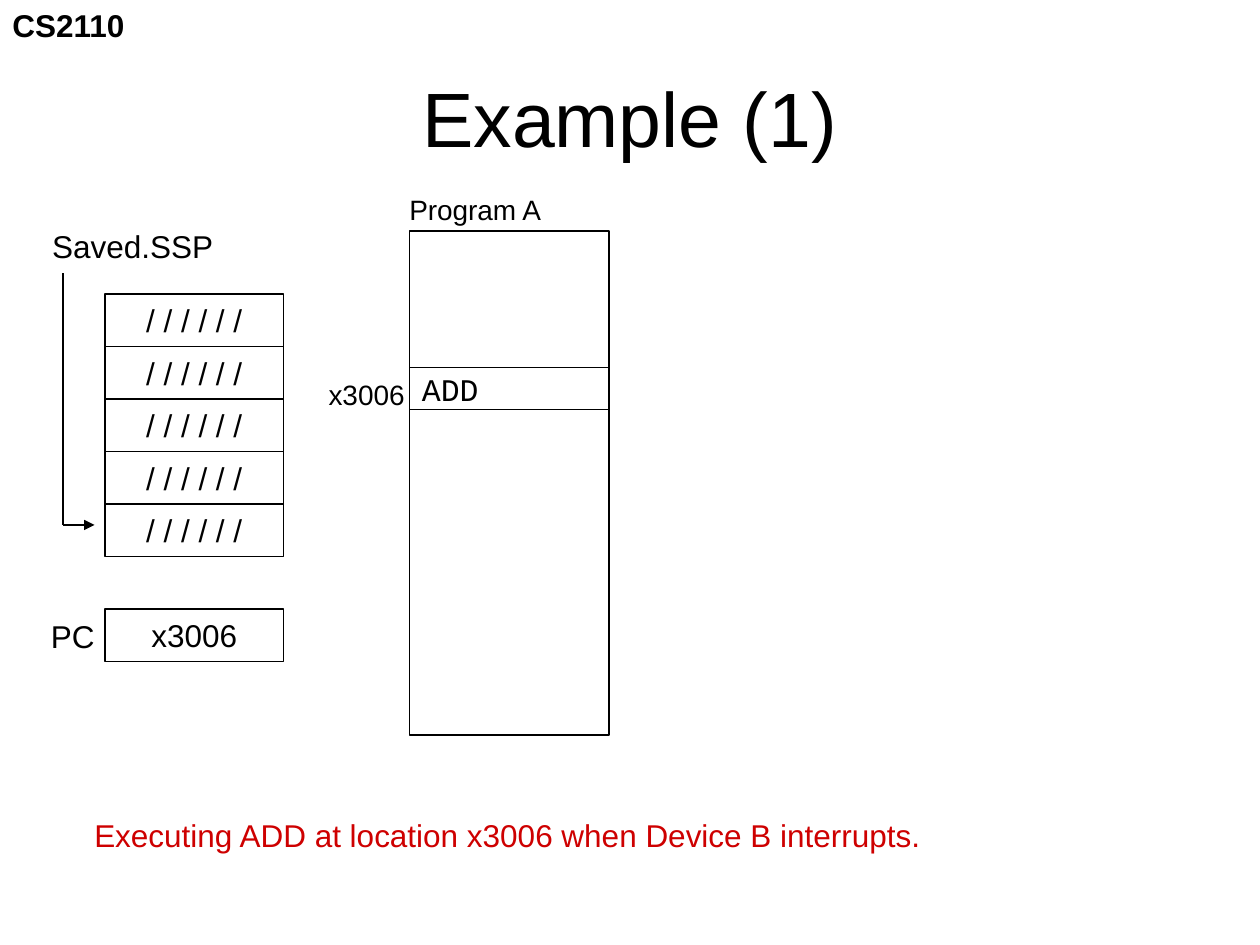
"""Build the interrupt example slide: saved stack, program counter and Program A."""
from dataclasses import dataclass

from lxml import etree
from pptx import Presentation
from pptx.dml.color import RGBColor
from pptx.enum.shapes import MSO_CONNECTOR, MSO_SHAPE
from pptx.enum.text import MSO_ANCHOR, MSO_AUTO_SIZE, PP_ALIGN
from pptx.oxml.ns import qn
from pptx.util import Emu, Inches, Pt

RECTANGLE = MSO_SHAPE.RECTANGLE
STRAIGHT = MSO_CONNECTOR.STRAIGHT
TOP, MIDDLE = MSO_ANCHOR.TOP, MSO_ANCHOR.MIDDLE
LEFT, CENTER, RIGHT = PP_ALIGN.LEFT, PP_ALIGN.CENTER, PP_ALIGN.RIGHT
NO_RESIZE, GROW = MSO_AUTO_SIZE.NONE, MSO_AUTO_SIZE.SHAPE_TO_FIT_TEXT
CELLS_PER_INCH = 12
STACK_ROWS = 5
STACK_COLUMN, STACK_TOP, CELL_WIDTH, CELL_HEIGHT = 10, 28, 17, 5


@dataclass(frozen=True)
class Theme:
    """Colours, fonts, type sizes and line widths."""
    ink: RGBColor = RGBColor(0x00, 0x00, 0x00)
    accent: RGBColor = RGBColor(0xCE, 0x00, 0x00)
    sans: str = "Arial"
    mono: str = "Courier New"
    title: float = 44
    body: float = 18
    small: float = 16
    border: float = 0.75
    pointer: float = 1.5


THEME = Theme()


@dataclass(frozen=True)
class Area:
    """A rectangle in grid columns and rows."""
    column: float
    row: float
    columns: float
    rows: float


@dataclass(frozen=True)
class Label:
    """Text with its style."""
    text: str
    align: PP_ALIGN = LEFT
    anchor: MSO_ANCHOR = TOP
    size: float = THEME.body
    font: str = THEME.sans
    color: RGBColor = THEME.ink
    bold: bool = False
    wrap: bool = False
    resize: MSO_AUTO_SIZE = GROW


@dataclass(frozen=True)
class Stroke:
    """A pointer segment between two grid points."""
    column: float
    row: float
    end_column: float
    end_row: float
    arrow: bool = False


def cells(count: float) -> Emu:
    """Turn grid cells into a length."""
    return Inches(count / CELLS_PER_INCH)


def frame(area: Area) -> tuple[Emu, ...]:
    """Give left, top, width and height of an area."""
    return tuple(map(cells, (area.column, area.row, area.columns, area.rows)))


def write(box, label: Label) -> None:
    """Put a styled label into a shape."""
    text_frame = box.text_frame
    text_frame.text = label.text
    text_frame.word_wrap = label.wrap
    text_frame.auto_size = label.resize
    text_frame.vertical_anchor = label.anchor
    para = text_frame.paragraphs[0]
    para.alignment = label.align
    for span in para.runs:
        span.font.name = label.font
        span.font.size = Pt(label.size)
        span.font.bold = label.bold
        span.font.color.rgb = label.color


def draw_label(page, area: Area, label: Label) -> None:
    """Draw free text."""
    write(page.shapes.add_textbox(*frame(area)), label)


def draw_cell(page, area: Area, label: Label | None) -> None:
    """Draw an outlined memory cell."""
    box = page.shapes.add_shape(RECTANGLE, *frame(area))
    box.shadow.inherit = False
    box.fill.background()
    box.line.color.rgb = THEME.ink
    box.line.width = Pt(THEME.border)
    if label:
        write(box, label)


def draw_stroke(page, stroke: Stroke) -> None:
    """Draw a pointer segment."""
    ends = (stroke.column, stroke.row, stroke.end_column, stroke.end_row)
    line = page.shapes.add_connector(STRAIGHT, *map(cells, ends))
    line.line.color.rgb = THEME.ink
    line.line.width = Pt(THEME.pointer)
    if stroke.arrow:
        outline = line.line._get_or_add_ln()
        etree.SubElement(outline, qn("a:tailEnd"), type="triangle")
    etree.SubElement(line._element.spPr, qn("a:effectLst"))


def cell_text(text: str, align: PP_ALIGN = CENTER, font: str = THEME.sans) -> Label:
    """Style the text of a memory cell."""
    return Label(text, align, MIDDLE, font=font, resize=NO_RESIZE)


LABELS = (
    (Area(0, 0, 13.2, 4.8), Label("CS2110", bold=True)),
    (Area(6, 3.6, 108, 15), Label("Example (1)", CENTER, MIDDLE, THEME.title,
                                  wrap=True, resize=NO_RESIZE)),
    (Area(3.12, 58.2, 7.08, 5.16), Label("PC", RIGHT)),
    (Area(37.8, 17.76, 15.12, 4.44), Label("Program A", size=THEME.small)),
    (Area(30, 35.4, 9.72, 4.44), Label("x3006", RIGHT, size=THEME.small)),
    (Area(7.8, 77.16, 90, 5.16),
     Label("Executing ADD at location x3006 when Device B interrupts.",
           color=THEME.accent)),
    (Area(2.04, 21, 19.44, 5.16), Label("Saved.SSP", RIGHT)),
)
STACK = tuple(
    (Area(STACK_COLUMN, STACK_TOP + index * CELL_HEIGHT, CELL_WIDTH, CELL_HEIGHT),
     cell_text("/ / / / / /"))
    for index in range(STACK_ROWS)
)
MEMORY = (
    (Area(STACK_COLUMN, 58, CELL_WIDTH, CELL_HEIGHT), cell_text("x3006")),
    (Area(39, 22, 19, 48), None),
    (Area(39, 35, 19, 4), cell_text("ADD", LEFT, THEME.mono)),
)
POINTER = (Stroke(6, 50, 9, 50, arrow=True), Stroke(6, 50, 6, 26))


def main() -> None:
    """Build and save the deck."""
    deck = Presentation()
    deck.slide_width, deck.slide_height = Inches(10), Inches(7.5)
    page = deck.slides.add_slide(deck.slide_layouts[6])
    for area, label in STACK + MEMORY:
        draw_cell(page, area, label)
    for area, label in LABELS:
        draw_label(page, area, label)
    for stroke in POINTER:
        draw_stroke(page, stroke)
    deck.save("out.pptx")


main()
